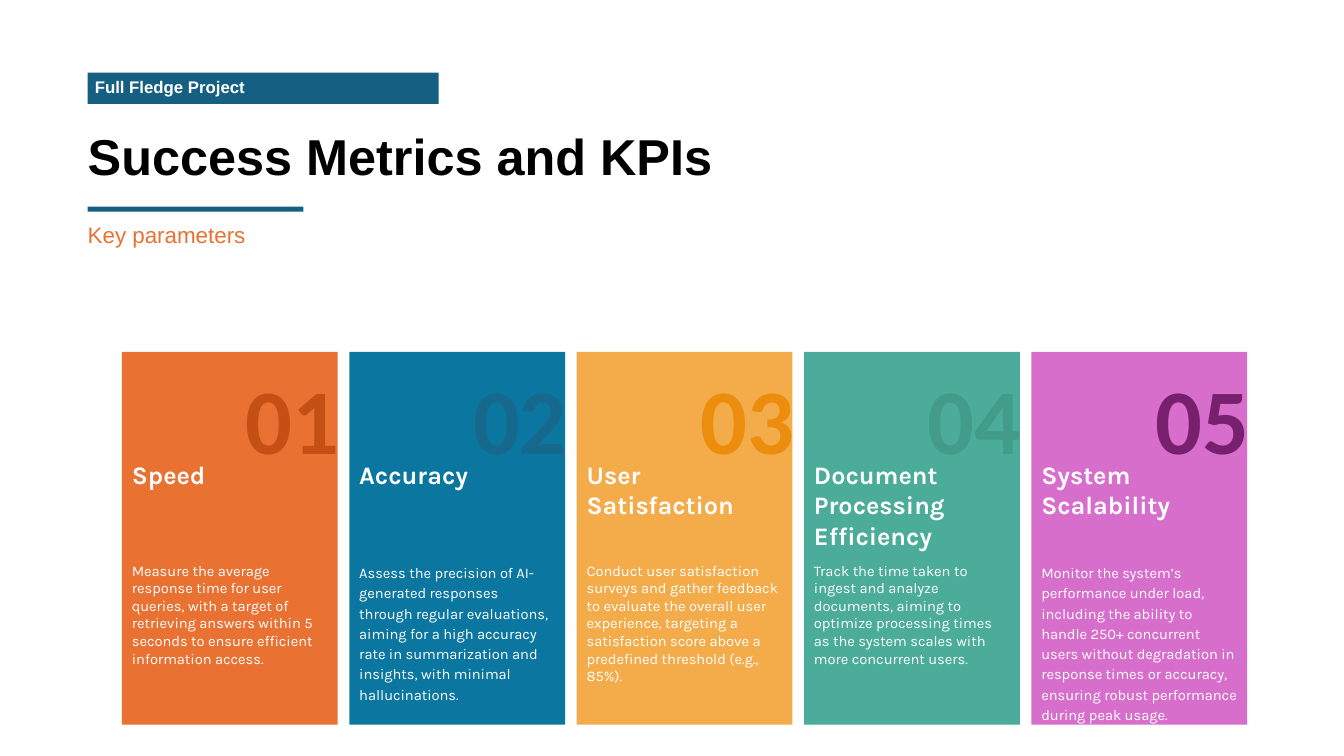
from dataclasses import dataclass

from pptx import Presentation
from pptx.dml.color import RGBColor
from pptx.enum.shapes import MSO_SHAPE
from pptx.enum.text import MSO_ANCHOR, MSO_AUTO_SIZE
from pptx.util import Inches, Pt

RECT = MSO_SHAPE.RECTANGLE
TOP = MSO_ANCHOR.TOP
MIDDLE = MSO_ANCHOR.MIDDLE
GROW = MSO_AUTO_SIZE.SHAPE_TO_FIT_TEXT
FIXED = MSO_AUTO_SIZE.NONE


@dataclass(frozen=True)
class Theme:
    teal: str = "156082"
    orange: str = "E97132"
    white: str = "FFFFFF"
    black: str = "000000"
    head: str = "Arial"
    digit: str = "Calibri"
    body: str = "Karla"
    title_size: float = 36
    sub_size: float = 16
    tag_size: float = 12
    digit_size: float = 66
    name_size: float = 18
    note_size: float = 10.5


THEME = Theme()
FIRST, LAST, WIDTH = 1.21, 10.23, 2.14

CARDS = [
    ("Speed", 0.4, THEME.orange, "C55015", None, 0.98,
     "Measure the average response time for user queries, with a target of "
     "retrieving answers within 5 seconds to ensure efficient information access."),
    ("Accuracy", 0.4, "0B76A0", "17688D", 1.15, 1.31,
     "Assess the precision of AI-generated responses through regular evaluations, "
     "aiming for a high accuracy rate in summarization and insights, with minimal "
     "hallucinations."),
    ("User Satisfaction", 0.71, "F4AB4A", "EC8D0E", None, 1.34,
     "Conduct user satisfaction surveys and gather feedback to evaluate the overall "
     "user experience, targeting a satisfaction score above a predefined threshold "
     "(e.g., 85%)."),
    ("Document Processing Efficiency", 1.01, "4AAC99", "439B8A", None, 0.98,
     "Track the time taken to ingest and analyze documents, aiming to optimize "
     "processing times as the system scales with more concurrent users."),
    ("System Scalability", 0.71, "D86ECC", "78206E", 1.15, 1.72,
     "Monitor the system’s performance under load, including the ability to handle "
     "250+ concurrent users without degradation in response times or accuracy, "
     "ensuring robust performance during peak usage."),
]


def add_block(slide, box, color):
    block = slide.shapes.add_shape(RECT, *map(Inches, box))
    block.shadow.inherit = False
    block.fill.solid()
    block.fill.fore_color.rgb = RGBColor.from_string(color)
    block.line.fill.background()


def add_label(slide, box, text, font, size, color, bold=False,
              inset=True, anchor=TOP, fit=GROW, line=None, gap=None):
    frame = slide.shapes.add_textbox(*map(Inches, box)).text_frame
    frame.word_wrap = True
    frame.auto_size = fit
    frame.vertical_anchor = anchor
    if not inset:
        frame.margin_left = frame.margin_right = 0
        frame.margin_top = frame.margin_bottom = 0
    para = frame.paragraphs[0]
    if line:
        para.line_spacing = line
    if gap:
        para.space_before = para.space_after = Pt(gap)
    run = para.add_run()
    run.text = text
    run.font.name = font
    run.font.size = Pt(size)
    run.font.bold = bold
    run.font.color.rgb = RGBColor.from_string(color)


def add_card(slide, index, card):
    name, name_high, fill, shade, line, note_high, note = card
    left = FIRST + index * (LAST - FIRST) / (len(CARDS) - 1)
    add_block(slide, (left, 3.49, WIDTH, 3.7), fill)
    add_label(slide, (left + 1.13, 3.54, 1.96, 1.21), f"{index + 1:02}",
              THEME.digit, THEME.digit_size, shade, bold=True)
    add_label(slide, (left, 4.51, WIDTH, name_high), name,
              THEME.body, THEME.name_size, THEME.white, bold=True)
    add_label(slide, (left, 5.52, WIDTH, note_high), note,
              THEME.body, THEME.note_size, THEME.white, line=line)


def add_header(slide):
    add_block(slide, (0.87, 0.72, 3.48, 0.31), THEME.teal)
    add_label(slide, (0.94, 0.65, 3.35, 0.42), "Full Fledge Project",
              THEME.head, THEME.tag_size, THEME.white, bold=True,
              inset=False, anchor=MIDDLE, fit=FIXED)
    add_label(slide, (0.87, 1.18, 10.72, 0.72), "Success Metrics and KPIs",
              THEME.head, THEME.title_size, THEME.black, bold=True,
              inset=False, anchor=MIDDLE, fit=FIXED)
    add_block(slide, (0.87, 2.05, WIDTH, 0.05), THEME.teal)
    add_label(slide, (0.87, 2.19, 5.08, 0.27), "Key parameters",
              THEME.head, THEME.sub_size, THEME.orange, inset=False, gap=6)


def main():
    deck = Presentation()
    deck.slide_width = Inches(13.33)
    deck.slide_height = Inches(7.5)
    slide = deck.slides.add_slide(deck.slide_layouts[6])
    for index, card in enumerate(CARDS):
        add_card(slide, index, card)
    add_header(slide)
    deck.save("out.pptx")


if __name__ == "__main__":
    main()
